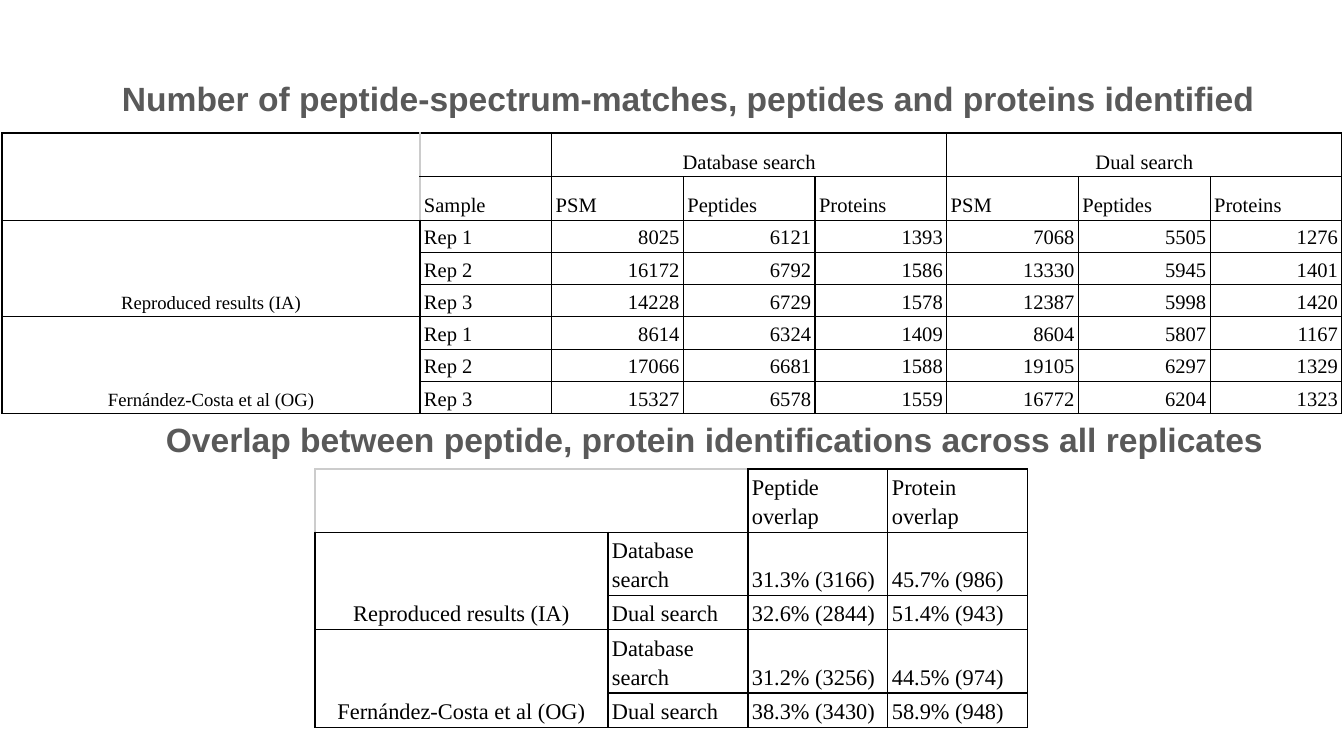
from dataclasses import dataclass

from lxml import etree
from pptx import Presentation
from pptx import util as u
from pptx.dml.color import RGBColor
from pptx.enum import text
from pptx.oxml.ns import qn

PX = 914400 / 134.4  # EMU per px
LEFT, MID, RIGHT = text.PP_ALIGN.LEFT, text.PP_ALIGN.CENTER, text.PP_ALIGN.RIGHT


def px(n):
    return u.Emu(round(n * PX))


@dataclass(frozen=True)
class Theme:
    ink: str = "000000"
    head: str = "595959"
    rule: str = "000000"
    faint: str = "CCCCCC"
    sans: str = "Arial"
    serif: str = "Times New Roman"
    title: int = 18
    large: int = 12
    body: int = 11
    small: int = 10
    line: float = 0.75


class Page:
    def __init__(self, deck, theme):
        self.theme = theme
        self.slide = deck.slides.add_slide(deck.slide_layouts[5])

    def style(self, par, face, size, color, bold=False):
        run = par.runs[0] if par.runs else par.add_run()
        run.font.name, run.font.size, run.font.bold = face, u.Pt(size), bold
        run.font.color.rgb = RGBColor.from_string(color)

    def heading(self, words, left, top, title=False):
        box = (px(left), px(top), px(1215), px(67))
        if title:
            shape = self.slide.shapes.title
            shape.left, shape.top, shape.width, shape.height = box
        else:
            shape = self.slide.shapes.add_textbox(*box)
        frame = shape.text_frame
        frame.text = words
        frame.word_wrap = True
        frame.auto_size = text.MSO_AUTO_SIZE.NONE
        frame.vertical_anchor = text.MSO_ANCHOR.TOP
        frame.margin_left = frame.margin_right = px(13)
        frame.margin_top = frame.margin_bottom = px(13)
        par = frame.paragraphs[0]
        par.alignment = MID
        self.style(par, self.theme.sans, self.theme.title, self.theme.head, True)

    def border(self, cell, faint):
        props = cell._tc.get_or_add_tcPr()
        for side in "LRTB":
            line = etree.SubElement(props, qn("a:ln" + side),
                                    w=str(u.Pt(self.theme.line)))
            fill = etree.SubElement(line, qn("a:solidFill"))
            color = self.theme.faint if side in faint else self.theme.rule
            etree.SubElement(fill, qn("a:srgbClr"), val=color)

    def table(self, left, top, width, first, heights, rows, spans, look, faint):
        """look(row, col, value) gives alignment and type size."""
        count = len(rows[0])
        frame = self.slide.shapes.add_table(
            len(rows), count, px(left), px(top), px(width), px(sum(heights)))
        grid = frame.table
        grid.first_row = grid.horz_banding = False
        for c, col in enumerate(grid.columns):
            col.width = px(first if c == 0 else (width - first) / (count - 1))
        for r, row in enumerate(rows):
            grid.rows[r].height = px(heights[r])
            for c, value in enumerate(row):
                cell = grid.cell(r, c)
                cell.margin_left = cell.margin_right = px(4)
                cell.margin_top = cell.margin_bottom = px(3)
                cell.vertical_anchor = text.MSO_ANCHOR.BOTTOM
                self.border(cell, faint.get((r, c), ""))
                cell.fill.background()
                par = cell.text_frame.paragraphs[0]
                par.text = value
                par.line_spacing = 1.15
                par.alignment, size = look(r, c, value)
                self.style(par, self.theme.serif, size, self.theme.ink)
        for r, c, down, across in spans:
            grid.cell(r, c).merge(grid.cell(r + down - 1, c + across - 1))


OURS, THEIRS = "Reproduced results (IA)", "Fernández-Costa et al (OG)"
DB, DUAL = "Database search", "Dual search"

COUNTS = [
    ["", "", DB, "", "", DUAL, "", ""],
    ["", "Sample"] + ["PSM", "Peptides", "Proteins"] * 2,
    [OURS, "Rep 1", "8025", "6121", "1393", "7068", "5505", "1276"],
    ["", "Rep 2", "16172", "6792", "1586", "13330", "5945", "1401"],
    ["", "Rep 3", "14228", "6729", "1578", "12387", "5998", "1420"],
    [THEIRS, "Rep 1", "8614", "6324", "1409", "8604", "5807", "1167"],
    ["", "Rep 2", "17066", "6681", "1588", "19105", "6297", "1329"],
    ["", "Rep 3", "15327", "6578", "1559", "16772", "6204", "1323"],
]
OVERLAP = [
    ["", "", "Peptide overlap", "Protein overlap"],
    [OURS, DB, "31.3% (3166)", "45.7% (986)"],
    ["", DUAL, "32.6% (2844)", "51.4% (943)"],
    [THEIRS, DB, "31.2% (3256)", "44.5% (974)"],
    ["", DUAL, "38.3% (3430)", "58.9% (948)"],
]


def main():
    deck = Presentation()
    deck.slide_width, deck.slide_height = px(1344), px(756)
    theme = Theme()
    page = Page(deck, theme)

    def count_look(r, c, value):
        if c == 0:
            return MID, theme.small
        if r == 0:
            return MID, theme.body
        return (RIGHT if value.isdigit() else LEFT), theme.body

    def share_look(r, c, value):
        return (MID if c == 0 else LEFT), theme.large

    # Identification counts
    page.heading("Number of peptide-spectrum-matches, peptides and proteins identified",
                 81, 65, title=True)
    page.table(2, 133, 1340, 418, [43] * 2 + [32] * 6, COUNTS,
               [(0, 0, 2, 1), (0, 2, 1, 3), (0, 5, 1, 3), (2, 0, 3, 1), (5, 0, 3, 1)],
               count_look, {(0, 0): "R", (1, 0): "R", (0, 1): "L", (1, 1): "L"})

    # Overlap across replicates
    page.heading("Overlap between peptide, protein identifications across all replicates ",
                 112, 406)
    page.table(315, 469, 713, 293, [62, 63, 34, 63, 34], OVERLAP,
               [(0, 0, 1, 2), (1, 0, 2, 1), (3, 0, 2, 1)],
               share_look, {(0, 0): "LT", (0, 1): "T"})

    deck.save("out.pptx")


if __name__ == "__main__":
    main()
